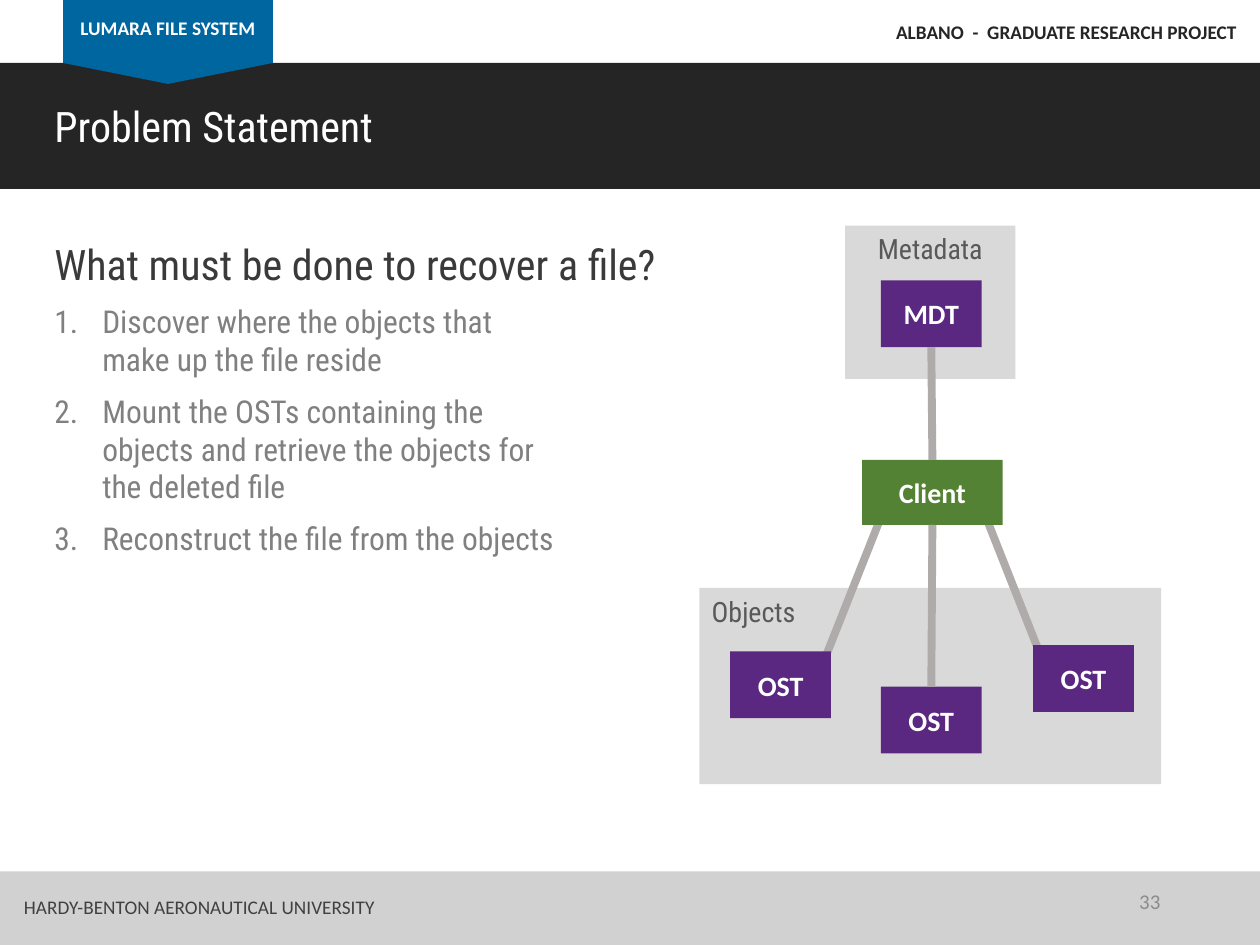
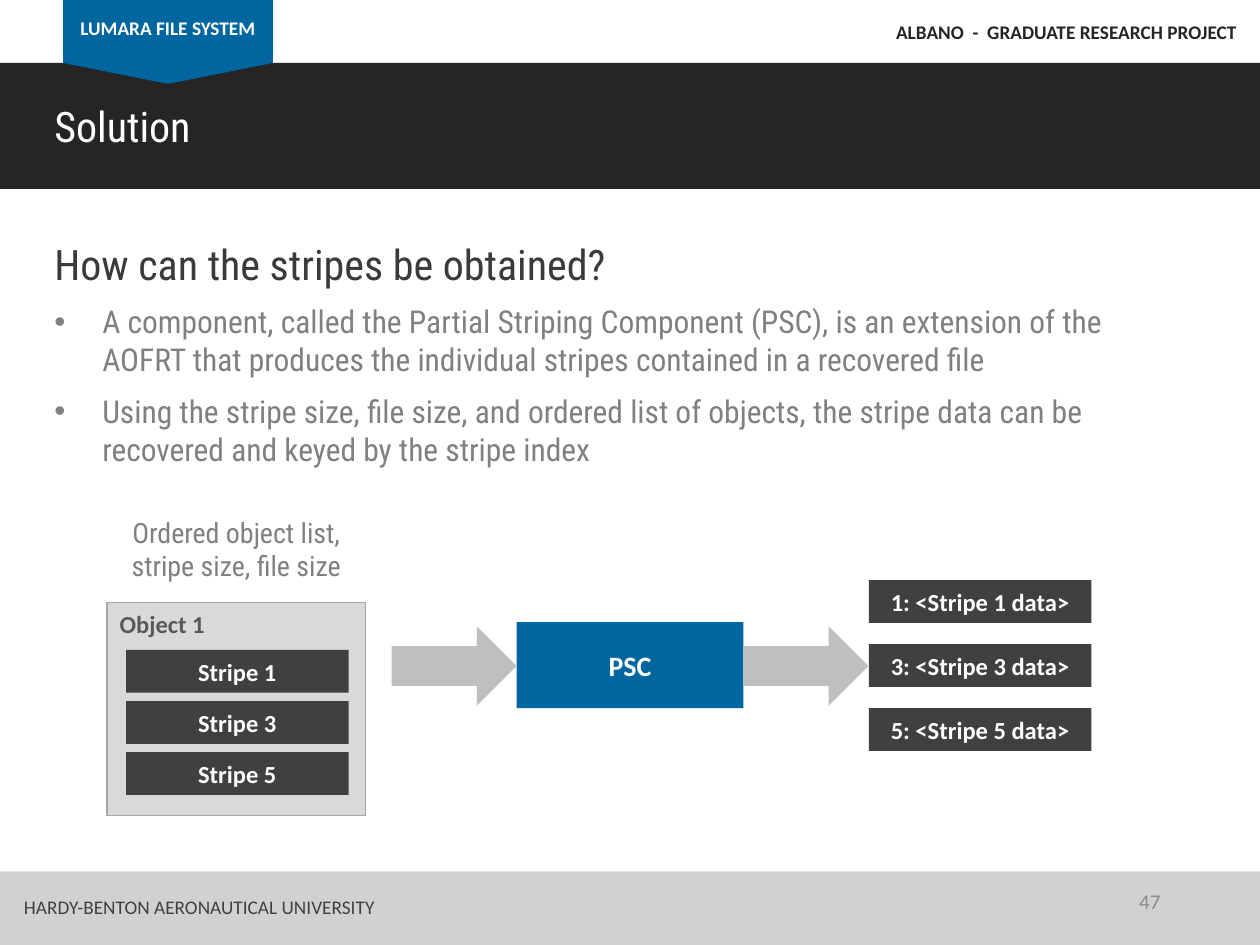
from lxml.etree import SubElement
from pptx import Presentation
from pptx.dml.color import RGBColor
from pptx.enum.shapes import MSO_CONNECTOR, MSO_SHAPE
from pptx.enum.text import MSO_ANCHOR, MSO_AUTO_SIZE, PP_ALIGN
from pptx.oxml.ns import qn
from pptx.util import Inches, Pt

WHITE = RGBColor(0xFF, 0xFF, 0xFF)
BLACK = RGBColor(0x25, 0x25, 0x25)
BLUE = RGBColor(0x00, 0x66, 0xA0)
GREEN = RGBColor(0x54, 0x82, 0x35)
PURPLE = RGBColor(0x5A, 0x27, 0x81)
CHARCOAL = RGBColor(0x40, 0x40, 0x40)
HEADING = RGBColor(0x3A, 0x3A, 0x3A)
LABEL = RGBColor(0x59, 0x59, 0x59)
BODY = RGBColor(0x80, 0x80, 0x80)
PAGE = RGBColor(0x8C, 0x8C, 0x8C)
OUTLINE = RGBColor(0xA6, 0xA6, 0xA6)
LINK = RGBColor(0xAF, 0xAB, 0xAB)
ARROW = RGBColor(0xBF, 0xBF, 0xBF)
FOOTER = RGBColor(0xD1, 0xD1, 0xD1)
PANEL = RGBColor(0xD9, 0xD9, 0xD9)

SANS = "Calibri"
CONDENSED = "Roboto Condensed"

WIDTH, HEIGHT = Inches(10), Inches(7.5)
COLS, ROWS = 120, 90
LEFT, CENTER, RIGHT = PP_ALIGN.LEFT, PP_ALIGN.CENTER, PP_ALIGN.RIGHT

TARGET_SIZE = (9.6, 6.36)
STRIPE_SIZE = (21.2, 4.08)
STRIPES = (1, 3, 5)


def grid(*cells):
    """Turn alternating column and row counts into slide lengths."""
    return [int(c * (HEIGHT / ROWS if i % 2 else WIDTH / COLS))
            for i, c in enumerate(cells)]


def write(p, text, size, color, font=CONDENSED, bold=False, align=LEFT):
    p.alignment = align
    r = p.add_run()
    r.text = text
    r.font.name = font
    r.font.size = Pt(size)
    r.font.bold = bold
    r.font.color.rgb = color


def add_block(s, kind, area, fill):
    sp = s.shapes.add_shape(kind, *grid(*area))
    sp.shadow.inherit = False
    sp.fill.solid()
    sp.fill.fore_color.rgb = fill
    sp.line.fill.background()
    return sp


def add_box(s, text, area, fill, size=16):
    """Add a rectangle with a bold white caption in its middle."""
    sp = add_block(s, MSO_SHAPE.RECTANGLE, area, fill)
    sp.text_frame.vertical_anchor = MSO_ANCHOR.MIDDLE
    write(sp.text_frame.paragraphs[0], text, size, WHITE, SANS, True, CENTER)
    return sp


def add_panel(s, text, area, size=16, **style):
    """Add a grey container with its caption at the top."""
    sp = add_block(s, MSO_SHAPE.RECTANGLE, area, PANEL)
    sp.text_frame.vertical_anchor = MSO_ANCHOR.TOP
    write(sp.text_frame.paragraphs[0], text, size, LABEL, **style)
    return sp


def add_frame(s, area):
    tf = s.shapes.add_textbox(*grid(*area)).text_frame
    tf.word_wrap = True
    tf.auto_size = MSO_AUTO_SIZE.SHAPE_TO_FIT_TEXT
    return tf


def add_text(s, text, area, size, color, **style):
    tf = add_frame(s, area)
    write(tf.paragraphs[0], text, size, color, **style)
    return tf


def add_list(s, items, area, numbered=False):
    tf = add_frame(s, area)
    for i, item in enumerate(items):
        p = tf.add_paragraph() if i else tf.paragraphs[0]
        write(p, item, 18, BODY)
        p.space_after = Pt(8)
        pPr = p._p.get_or_add_pPr()
        pPr.set("marL", str(Inches(0.38)))
        pPr.set("indent", str(-Inches(0.38)))
        if numbered:
            SubElement(pPr, qn("a:buAutoNum"), type="arabicPeriod")
        else:
            SubElement(pPr, qn("a:buFont"), typeface="Arial")
            SubElement(pPr, qn("a:buChar"), char="•")


def add_link(s, ends=(0, 0, 0, 0)):
    cn = s.shapes.add_connector(MSO_CONNECTOR.STRAIGHT, *grid(*ends))
    cn.line.color.rgb = LINK
    cn.line.width = Pt(4.5)
    SubElement(cn._element.spPr, qn("a:effectLst"))
    return cn


def join(s, upper, lower):
    """Link the bottom of the upper box to the top of the lower one."""
    cn = add_link(s)
    cn.begin_connect(upper, 2)
    cn.end_connect(lower, 0)


def add_base(s, title, heading, number):
    """Add the bands, blue tab, title, heading and footer."""
    add_block(s, MSO_SHAPE.RECTANGLE, (0, 6, COLS, 12), BLACK)
    add_block(s, MSO_SHAPE.RECTANGLE, (6, 0, 20, 6), BLUE)
    tip = add_block(s, MSO_SHAPE.ISOSCELES_TRIANGLE, (6, 6, 20, 2), BLUE)
    tip._element.spPr.get_or_add_xfrm().set("flipV", "1")
    add_block(s, MSO_SHAPE.RECTANGLE, (0, 83, COLS, 7), FOOTER)
    add_text(s, "LUMARA FILE SYSTEM", (6, 1, 20, 3.5), 11, WHITE,
             font=SANS, bold=True, align=CENTER)
    add_text(s, "ALBANO  -  GRADUATE RESEARCH PROJECT", (82.8, 1.3, 36.2, 3.5),
             11, BLACK, font=SANS, bold=True, align=RIGHT)
    add_text(s, title, (4, 9, 56, 6), 24, WHITE)
    add_text(s, heading, (4, 22.1, 77.3, 6), 24, HEADING)
    add_text(s, "HARDY-BENTON AERONAUTICAL UNIVERSITY", (1.1, 84.7, 36.4, 3.5),
             11, CHARCOAL, font=SANS)
    tf = add_text(s, number, (84.7, 83.4, 27, 4.8), 12, PAGE,
                  font=SANS, align=RIGHT)
    tf.auto_size = MSO_AUTO_SIZE.NONE
    tf.vertical_anchor = MSO_ANCHOR.MIDDLE


def add_problem(s):
    add_base(s, "Problem Statement", "What must be done to recover a file?", "33")
    add_list(s, (
        "Discover where the objects that make up the file reside",
        "Mount the OSTs containing the objects and retrieve the objects "
        "for the deleted file",
        "Reconstruct the file from the objects",
    ), (4, 28.2, 50.3, 25.7), numbered=True)

    add_panel(s, "Objects", (66.6, 56, 44, 18.7))
    add_panel(s, "Metadata", (80.5, 21.5, 16.2, 14.6), align=CENTER)
    add_link(s, (77.5, 65.4, 84.2, 48.5))
    add_link(s, (93.6, 48.5, 100.2, 65.2))
    client = add_box(s, "Client", (82.1, 43.8, 13.4, 6.2), GREEN)
    mdt = add_box(s, "MDT", (83.9, 26.7, *TARGET_SIZE), PURPLE)
    _, middle_ost, _ = [
        add_box(s, "OST", (*corner, *TARGET_SIZE), PURPLE)
        for corner in ((69.55, 62.05), (83.9, 65.4), (98.4, 61.45))]
    join(s, mdt, client)
    join(s, client, middle_ost)


def add_solution(s):
    add_base(s, "Solution", "How can the stripes be obtained?", "47")
    add_list(s, (
        "A component, called the Partial Striping Component (PSC), is an "
        "extension of the AOFRT that produces the individual stripes "
        "contained in a recovered file",
        "Using the stripe size, file size, and ordered list of objects, the "
        "stripe data can be recovered and keyed by the stripe index",
    ), (4, 28.2, 104, 17))

    add_text(s, "Ordered object list, stripe size, file size",
             (10.2, 48.5, 24.6, 7.7), 16, BODY, align=CENTER)
    panel = add_panel(s, "Object 1", (10.2, 57.4, 24.6, 20.3), 14,
                      font=SANS, bold=True)
    panel.line.color.rgb = OUTLINE
    panel.line.width = Pt(0.75)
    for i, n in enumerate(STRIPES):
        add_box(s, f"Stripe {n}", (12, 61.9 + 4.87 * i, *STRIPE_SIZE),
                CHARCOAL, 14)
        add_box(s, f"{n}: <Stripe {n} data>",
                (82.75, 55.25 + 6.1 * i, *STRIPE_SIZE), CHARCOAL, 14)
    add_box(s, "PSC", (49.2, 59.25, 21.6, 8.2), BLUE)
    for col in (37.3, 70.8):
        add_block(s, MSO_SHAPE.RIGHT_ARROW, (col, 59.65, 11.9, 7.56), ARROW)


def main():
    prs = Presentation()
    prs.slide_width, prs.slide_height = WIDTH, HEIGHT
    blank = prs.slide_layouts[6]
    for build in (add_problem, add_solution):
        build(prs.slides.add_slide(blank))
    prs.save("out.pptx")


if __name__ == "__main__":
    main()
